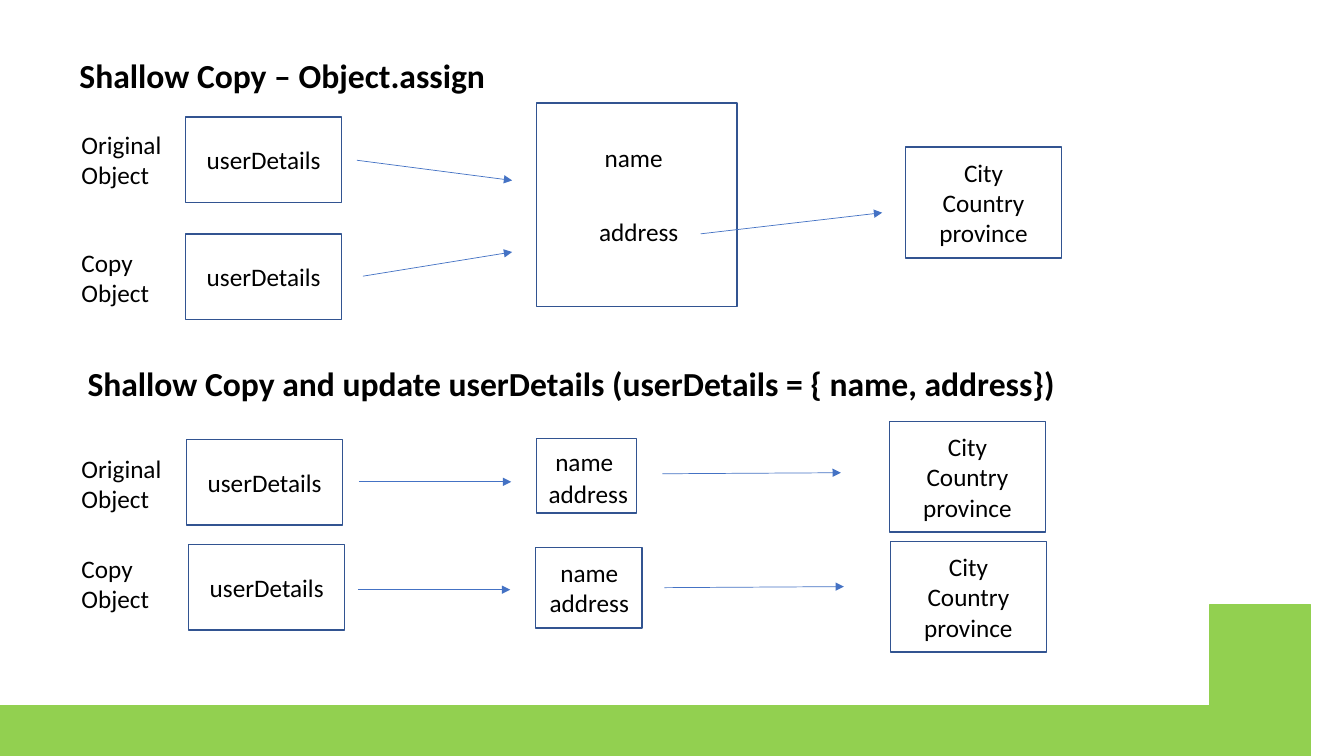
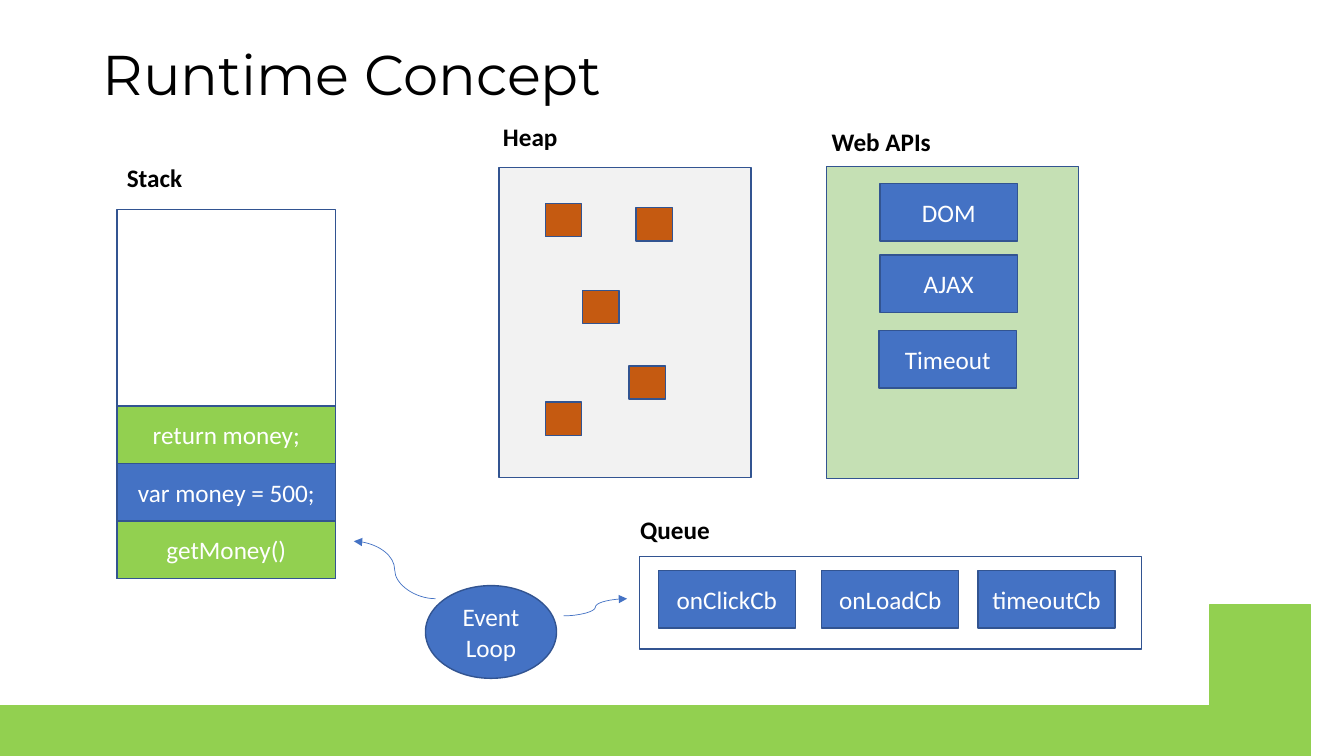
"""Build two slides on shallow copies and the JavaScript runtime."""
from pptx import Presentation
from pptx.dml.color import RGBColor
from pptx.enum.shapes import MSO_CONNECTOR, MSO_SHAPE
from pptx.enum.text import MSO_ANCHOR, MSO_AUTO_SIZE, PP_ALIGN
from pptx.oxml.ns import qn
from pptx.util import Inches, Pt
from lxml.etree import SubElement

COLORS = {
    "ink": "000000", "white": "FFFFFF", "green": "92D050", "blue": "4472C4",
    "outline": "325491", "orange": "C55A11", "gray": "F2F2F2", "mint": "C5E0B4",
}
WAVE_START = (0, 6.98)
WAVE = [
    ((0.29, 6.84), (0.67, 6.68), (1.7, 6.69)),
    ((2.73, 6.7), (4.26, 7.08), (6.2, 7.04)),
    ((8.14, 6.99), (12.16, 6.35), (13.33, 6.44)),
]


def color(name):
    return RGBColor.from_string(COLORS[name])


def bezier(start, first, second, end, t):
    u = 1 - t
    return tuple(
        u**3 * a + 3 * u**2 * t * b + 3 * u * t**2 * c + t**3 * d
        for a, b, c, d in zip(start, first, second, end)
    )


class Deck:
    def __init__(self):
        self.prs = Presentation()
        self.prs.slide_width = Inches(13.33)
        self.prs.slide_height = Inches(7.5)
        self.slide = None

    def new_slide(self):
        self.slide = self.prs.slides.add_slide(self.prs.slide_layouts[6])
        self.wave()

    def wave(self, steps=40):
        start, outline = WAVE_START, []
        for first, second, end in WAVE:
            outline += [bezier(start, first, second, end, i / steps)
                        for i in range(1, steps + 1)]
            start = end
        outline += [(13.33, 7.5), (0, 7.5)]
        builder = self.slide.shapes.build_freeform(*WAVE_START, scale=Inches(1))
        builder.add_line_segments(outline, close=True)
        self.paint(builder.convert_to_shape(), "green", "green")

    def paint(self, shape, fill, line="outline"):
        shape.shadow.inherit = False
        if fill:
            shape.fill.solid()
            shape.fill.fore_color.rgb = color(fill)
        else:
            shape.fill.background()
        shape.line.color.rgb = color(line)
        shape.line.width = Pt(1)

    def add_lines(self, frame, lines, size=18, ink="ink", bold=False,
                  align=PP_ALIGN.LEFT, font="Calibri", spacing=None):
        for i, line in enumerate(lines):
            paragraph = frame.add_paragraph() if i else frame.paragraphs[0]
            paragraph.alignment = align
            if spacing:
                paragraph.line_spacing = spacing
            run = paragraph.add_run()
            run.text = line
            run.font.name = font
            run.font.size = Pt(size)
            run.font.bold = bold
            run.font.color.rgb = color(ink)

    def box(self, x, y, w, h, *lines, fill=None, kind=MSO_SHAPE.RECTANGLE):
        shape = self.slide.shapes.add_shape(
            kind, Inches(x), Inches(y), Inches(w), Inches(h))
        self.paint(shape, fill)
        shape.text_frame.vertical_anchor = MSO_ANCHOR.MIDDLE
        self.add_lines(shape.text_frame, lines, ink="white" if fill else "ink",
                       align=PP_ALIGN.CENTER)
        return shape

    def text(self, x, y, w, h, *lines, wrap=False, middle=False, **style):
        frame = self.slide.shapes.add_textbox(
            Inches(x), Inches(y), Inches(w), Inches(h)).text_frame
        frame.word_wrap = wrap
        if middle:
            frame.vertical_anchor = MSO_ANCHOR.MIDDLE
        else:
            frame.auto_size = MSO_AUTO_SIZE.SHAPE_TO_FIT_TEXT
        self.add_lines(frame, lines, **style)

    def title(self, text):
        self.text(0.92, 0.25, 10.83, 1.03, text, wrap=True, middle=True,
                  size=40, font="Montserrat", spacing=0.9)

    def heading(self, x, y, w, text, size=18):
        self.text(x, y, w, 0.5 if size > 18 else 0.4, text, size=size, bold=True)

    def fields(self, x, y, h, *names):
        self.text(x, y, 1.33, h, *names, wrap=True, middle=True,
                  align=PP_ALIGN.CENTER)

    def arrow(self, x1, y1, x2, y2, kind=MSO_CONNECTOR.STRAIGHT):
        arrow = self.slide.shapes.add_connector(
            kind, Inches(x1), Inches(y1), Inches(x2), Inches(y2))
        arrow.line.color.rgb = color("blue")
        arrow.line.width = Pt(0.5)
        properties = arrow._element.spPr
        SubElement(properties.find(qn("a:ln")), qn("a:tailEnd"), type="triangle")
        SubElement(properties, qn("a:effectLst"))

    def owners(self, original_y, copy_y):
        self.text(0.71, original_y, 1.06, 0.71, "Original", "Object")
        self.text(0.71, copy_y, 1.01, 0.71, "Copy Object", wrap=True)

    def user_details(self, x, y):
        self.box(x, y, 1.55, 0.85, "userDetails")

    def address_box(self, x, y):
        self.box(x, y, 1.55, 1.1, "City", "Country", "province")


def shallow_copy(deck):
    deck.new_slide()
    deck.heading(0.69, 0.5, 4.27, "Shallow Copy – Object.assign", 24)
    deck.owners(1.23, 2.4)
    for x, y in [(1.84, 1.16), (1.84, 2.32), (1.85, 4.36), (1.87, 5.4)]:
        deck.user_details(x, y)
    deck.box(5.32, 1.02, 1.99, 2.02)
    deck.fields(5.62, 1.21, 0.71, "name")
    deck.fields(5.67, 1.87, 0.85, "address")

    deck.heading(0.77, 3.55, 9.9,
                 "Shallow Copy and update userDetails (userDetails = { name, address})", 24)
    deck.owners(4.45, 5.44)
    deck.box(5.32, 4.35, 0.99, 0.74)
    deck.fields(5.13, 4.22, 0.71, "name")
    deck.fields(5.17, 4.47, 0.85, "address")
    deck.box(5.31, 5.43, 1.06, 0.8)
    deck.fields(5.18, 5.47, 0.71, "name", "address")

    for x, y in [(8.98, 1.46), (8.82, 4.18), (8.83, 5.37)]:
        deck.address_box(x, y)
    for ends in [
        (3.54, 1.59, 5.08, 1.79), (3.6, 2.74, 5.08, 2.5), (6.95, 2.32, 8.75, 2.11),
        (3.56, 4.78, 5.07, 4.78), (6.57, 4.7, 8.34, 4.69),
        (3.55, 5.85, 5.06, 5.85), (6.59, 5.83, 8.37, 5.82),
    ]:
        deck.arrow(*ends)


def runtime_concept(deck):
    deck.new_slide()
    deck.title("Runtime Concept")
    for x, y, w, name in [(1.16, 1.56, 0.76, "Stack"), (4.89, 1.15, 0.75, "Heap"),
                          (8.15, 1.2, 1.2, "Web APIs"), (6.25, 5.05, 0.89, "Queue")]:
        deck.heading(x, y, w, name)

    deck.box(1.16, 2.08, 2.17, 3.66)
    calls = [("return money;", "green"), ("var money = 500;", "blue"),
             ("getMoney()", "green")]
    for i, (call, fill) in enumerate(calls):
        deck.box(1.16, 4.03 + 0.57 * i, 2.17, 0.57, call, fill=fill)

    deck.box(4.95, 1.66, 2.5, 3.08, fill="gray")
    for x, y in [(5.41, 2.02), (6.31, 2.06), (5.78, 2.88), (6.24, 3.63), (5.41, 3.99)]:
        deck.box(x, y, 0.36, 0.33, fill="orange")

    deck.box(8.2, 1.65, 2.5, 3.1, fill="mint")
    for x, y, api in [(8.73, 1.82, "DOM"), (8.73, 2.53, "AJAX"), (8.72, 3.28, "Timeout")]:
        deck.box(x, y, 1.36, 0.57, api, fill="blue")

    queue = [deck.box(6.34, 5.52, 4.98, 0.92)]
    for x, callback in [(6.53, "onClickCb"), (8.15, "onLoadCb"), (9.7, "timeoutCb")]:
        queue.append(deck.box(x, 5.66, 1.36, 0.57, callback, fill="blue"))
    deck.slide.shapes.add_group_shape(queue)

    deck.box(4.22, 5.81, 1.3, 0.92, "Event Loop", fill="blue", kind=MSO_SHAPE.OVAL)
    deck.arrow(4.32, 5.94, 3.51, 5.37, MSO_CONNECTOR.CURVE)
    deck.arrow(5.59, 6.11, 6.22, 5.94, MSO_CONNECTOR.CURVE)


deck = Deck()
shallow_copy(deck)
runtime_concept(deck)
deck.prs.save("out.pptx")
